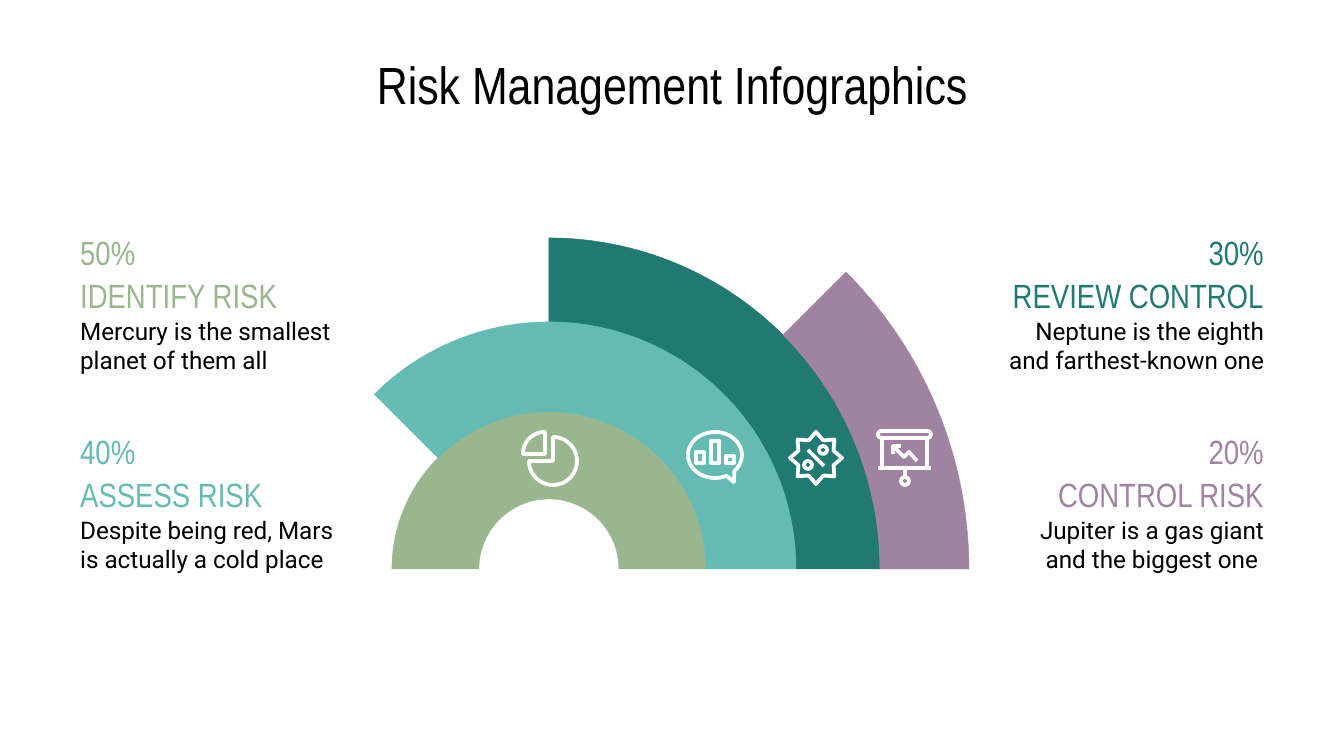
import math

import pptx
import pptx.dml.color
import pptx.enum.shapes
import pptx.enum.text
import pptx.util
from lxml import etree
from pptx.oxml.ns import qn

RGB = pptx.dml.color.RGBColor
SHAPE = pptx.enum.shapes.MSO_SHAPE
ALIGN = pptx.enum.text.PP_ALIGN
EMU_PER_PX = 914400 / 134.4

BLACK, WHITE = RGB(0, 0, 0), RGB(255, 255, 255)
GREEN, TEAL = RGB(0x99, 0xB6, 0x8E), RGB(0x64, 0xBB, 0xB3)
DARK, PURPLE = RGB(0x21, 0x7A, 0x72), RGB(0x9F, 0x83, 0xA1)


def px(n):
    return pptx.util.Emu(round(n * EMU_PER_PX))


def arc(cx, cy, rx, ry, start, end, steps=72):
    """Points along an ellipse, with angles in degrees counted anticlockwise."""
    angles = [math.radians(start + (end - start) * i / steps) for i in range(steps + 1)]
    return [(cx + rx * math.cos(a), cy - ry * math.sin(a)) for a in angles]


def star(cx, cy, outer, inner, tips):
    return [arc(cx, cy, r, r, 0, 360, 2 * tips)[i]
            for i, r in enumerate([outer, inner] * tips)]


# Content
TITLE = "Risk Management Infographics"
# percent, name, description, colour, column, row
LABELS = [
    ("50%", "IDENTIFY RISK", "Mercury is the smallest planet of them all", GREEN, 0, 0),
    ("40%", "ASSESS RISK", "Despite being red, Mars is actually a cold place", TEAL, 0, 1),
    ("30%", "REVIEW CONTROL", "Neptune is the eighth and farthest-known one", DARK, 1, 0),
    ("20%", "CONTROL RISK", "Jupiter is a gas giant and the biggest one ", PURPLE, 1, 1),
]
# colour, inner radius, outer radius, start angle; every ring ends at 0 degrees
CENTRE = (549, 569)
RINGS = [
    (DARK, 247, 331, 90),
    (GREEN, 70, 157, 180),
    (PURPLE, 331, 420, 45),
    (TEAL, 157, 247, 135),
]
# Icons: outlines are (points, closed), boxes are (shape, x, y, w, h)
ICONS = {
    "pie": {
        "outlines": [
            (arc(553, 461, 24, 24, 90, -180) + [(553, 461)], True),
            (arc(545, 454, 22, 22, 90, 180) + [(545, 454)], True),
        ],
    },
    "badge": {
        "outlines": [(star(816, 458, 26, 19, 8), True)],
        "boxes": [(SHAPE.OVAL, 819, 446, 8, 8), (SHAPE.OVAL, 804, 461, 8, 8)],
        "lines": [(808, 450, 824, 466)],
    },
    "board": {
        "outlines": [
            ([(893, 454), (893, 446), (901, 446)], False),
            ([(893, 446), (904, 457), (909, 452), (917, 461)], False),
        ],
        "boxes": [
            (SHAPE.ROUNDED_RECTANGLE, 878, 431, 53, 7),
            (SHAPE.RECTANGLE, 882, 438, 45, 30),
            (SHAPE.OVAL, 901, 477, 8, 8),
        ],
        "lines": [(878, 468, 931, 468), (905, 468, 905, 477)],
    },
    "bubble": {
        "outlines": [(arc(715, 455, 27, 23, -44, 295) + [(734, 482)], True)],
        "boxes": [(SHAPE.RECTANGLE, x, 463 - h, 8, h)
                  for x, h in [(696, 11), (711, 22), (726, 7)]],
    },
}


def write(s, text, *, font="Arial Narrow", size=18, color=BLACK, align=ALIGN.LEFT):
    tf = s.text_frame
    tf.word_wrap = True
    tf.auto_size = pptx.enum.text.MSO_AUTO_SIZE.NONE
    tf.vertical_anchor = pptx.enum.text.MSO_ANCHOR.MIDDLE
    tf.margin_left = tf.margin_right = pptx.util.Inches(0.1)
    tf.margin_top = tf.margin_bottom = pptx.util.Inches(0.1)
    p = tf.paragraphs[0]
    p.alignment = align
    r = p.add_run()
    r.text = text
    r.font.name, r.font.size = font, pptx.util.Pt(size)
    r.font.color.rgb = color


def paint(s, fill, line, width):
    s.shadow.inherit = False
    if fill is None:
        s.fill.background()
    else:
        s.fill.solid()
        s.fill.fore_color.rgb = fill
    s.line.color.rgb = line
    s.line.width = pptx.util.Pt(width)


def add_outline(shapes, points, closed=True):
    pts = [(px(x), px(y)) for x, y in points]
    builder = shapes.build_freeform(*pts[0], scale=1.0)
    builder.add_line_segments(pts[1:], close=closed)
    return builder.convert_to_shape()


def add_icon(shapes, outlines=(), boxes=(), lines=()):
    group = shapes.add_group_shape().shapes
    parts = [add_outline(group, *outline) for outline in outlines]
    for shape, *box in boxes:
        s = group.add_shape(shape, *map(px, box))
        if shape == SHAPE.ROUNDED_RECTANGLE:
            s.adjustments[0] = 0.5
        parts.append(s)
    for s in parts:
        paint(s, None, WHITE, 2)
    for ends in lines:
        c = group.add_connector(pptx.enum.shapes.MSO_CONNECTOR.STRAIGHT, *map(px, ends))
        c.line.color.rgb = WHITE
        c.line.width = pptx.util.Pt(2)
        etree.SubElement(c._element.spPr, qn("a:effectLst"))


def main():
    prs = pptx.Presentation()
    prs.slide_width, prs.slide_height = px(1344), px(756)
    slide = prs.slides.add_slide(prs.slide_layouts[5])
    shapes = slide.shapes

    # Title
    s = shapes.title
    s.left, s.top, s.width, s.height = map(px, (67, 60, 1210, 47))
    write(s, TITLE, size=28, align=ALIGN.CENTER)

    # Rings
    for color, inner, outer, start in RINGS:
        points = (arc(*CENTRE, outer, outer, start, 0)
                  + arc(*CENTRE, inner, inner, 0, start))
        paint(add_outline(shapes, points), color, color, 0.23)

    # Icons
    for icon in ICONS.values():
        add_icon(shapes, **icon)

    # Labels
    for percent, name, description, color, column, row in LABELS:
        x, y = 67 + 921 * column, 231 + 199 * row
        align = ALIGN.RIGHT if column else ALIGN.LEFT
        for text, dy, h, style in [
            (percent, 0, 42, {"color": color}),
            (name, 43, 42, {"color": color}),
            (description, 74, 81, {"font": "Roboto", "size": 13}),
        ]:
            s = shapes.add_textbox(px(x), px(y + dy), px(289), px(h))
            write(s, text, align=align, **style)

    prs.save("out.pptx")


if __name__ == "__main__":
    main()
